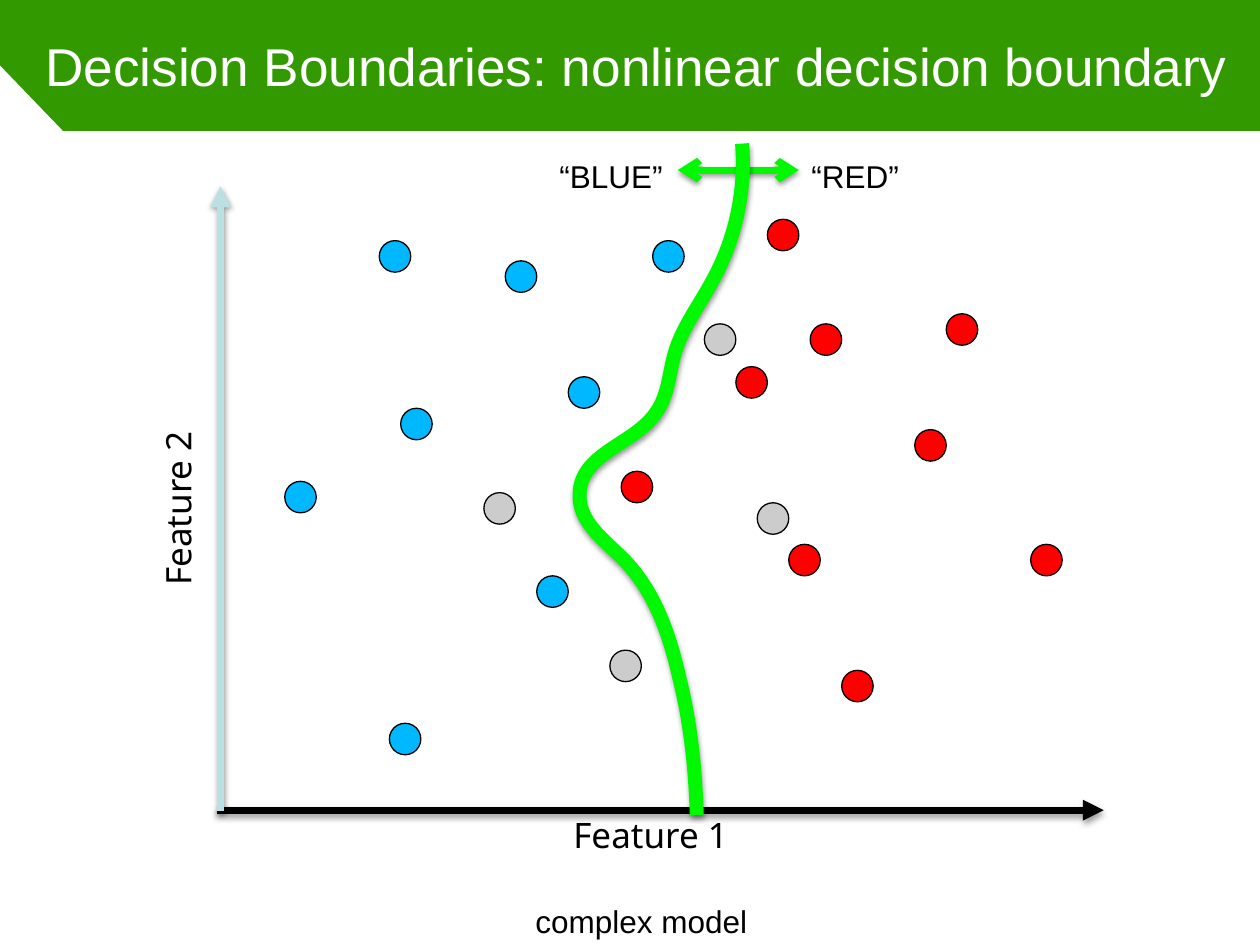
import pptx
import pptx.dml.color
import pptx.enum.dml
import pptx.enum.shapes
import pptx.enum.text
import pptx.oxml
import pptx.oxml.ns
import pptx.util
from pptx.util import Inches

BLUE, RED, GRAY = "00B8FF", "FF0000", "CCCCCC"
BLACK, WHITE, GREEN = "000000", "FFFFFF", "00F900"
DOT_SIZE = 0.25

# Left and top of each sample, by class.
SAMPLES = {
    BLUE: [(3.18, 3.24), (3.01, 1.91), (4.01, 2.07), (5.18, 1.91),
           (2.26, 3.82), (4.26, 4.57), (3.09, 5.74), (4.51, 2.99)],
    RED: [(6.43, 2.57), (5.84, 2.91), (6.26, 4.32), (6.68, 5.32), (6.09, 1.74),
          (7.26, 3.41), (4.93, 3.74), (8.18, 4.32), (7.51, 2.49)],
    GRAY: [(5.59, 2.57), (3.84, 3.91), (6.01, 3.99), (4.84, 5.16)],
}

# Start point, then two control points and an end point per Bezier segment.
BOUNDARY = [
    (5.89, 1.14),
    (5.92, 1.51), (5.84, 1.89), (5.66, 2.22),
    (5.56, 2.41), (5.42, 2.59), (5.36, 2.79),
    (5.31, 2.95), (5.31, 3.13), (5.21, 3.27),
    (5.04, 3.53), (4.61, 3.59), (4.60, 3.92),
    (4.59, 4.14), (4.79, 4.28), (4.94, 4.43),
    (5.19, 4.68), (5.31, 5.02), (5.39, 5.37),
    (5.48, 5.73), (5.52, 6.10), (5.53, 6.47),
]


def color(value):
    return pptx.dml.color.RGBColor.from_string(value)


def add_xml(parent, xml):
    namespace = pptx.oxml.ns.nsdecls("a")
    parent.append(pptx.oxml.parse_xml(xml.replace("/>", f" {namespace}/>", 1)
                                      if xml.endswith("/>") and xml.count("<") == 1
                                      else xml.replace(">", f" {namespace}>", 1)))


class Sketch:
    """Holds the shared style and the current slide."""

    font = "Arial"
    axis_font = "Noto Sans"
    inset = 0.05

    def __init__(self, page):
        self.page = page

    def text(self, words, left, top, width, height, size=18, fill=BLACK,
             font=None, inset=None, rotation=0, fit=True):
        box = self.page.shapes.add_textbox(
            Inches(left), Inches(top), Inches(width), Inches(height))
        box.rotation = rotation
        frame = box.text_frame
        margin = Inches(self.inset if inset is None else inset)
        frame.margin_left = frame.margin_right = margin
        frame.margin_top = frame.margin_bottom = margin
        frame.word_wrap = not fit
        if fit:
            frame.auto_size = pptx.enum.text.MSO_AUTO_SIZE.SHAPE_TO_FIT_TEXT
        else:
            frame.vertical_anchor = pptx.enum.text.MSO_ANCHOR.MIDDLE
        para = frame.paragraphs[0]
        para.text = words
        para.font.name = font or self.font
        para.font.size = pptx.util.Pt(size)
        para.font.color.rgb = color(fill)

    def axis_label(self, words, left, top, rotation=0):
        self.text(words, left, top, 1.28, 0.32, size=20, font=self.axis_font,
                  inset=0, rotation=rotation)

    def dot(self, group, left, top, fill):
        dot = group.shapes.add_shape(
            pptx.enum.shapes.MSO_SHAPE.OVAL, Inches(left), Inches(top),
            Inches(DOT_SIZE), Inches(DOT_SIZE))
        dot.shadow.inherit = False
        dot.fill.solid()
        dot.fill.fore_color.rgb = color(fill)
        dot.line.color.rgb = color(BLACK)
        dot.line.width = pptx.util.Pt(0.75)

    def outline(self, shape, stroke, width):
        shape.line.color.rgb = color(stroke)
        shape.line.width = pptx.util.Pt(width)

    def cast_shadow(self, shape):
        """Add the soft shadow; call it after the outline is set."""
        add_xml(shape._element.spPr,
                '<a:effectLst><a:outerShdw blurRad="38100" dist="20000" '
                'dir="5400000" rotWithShape="0"><a:srgbClr val="000000">'
                '<a:alpha val="38000"/></a:srgbClr></a:outerShdw></a:effectLst>')

    def arrow(self, parent, start, end, stroke, **ends):
        """Draw a line; ends maps headEnd and tailEnd to arrowhead types."""
        arrow = parent.shapes.add_connector(
            pptx.enum.shapes.MSO_CONNECTOR.STRAIGHT,
            *(Inches(value) for value in start + end))
        self.outline(arrow, stroke, 4)
        for side, kind in ends.items():
            add_xml(arrow.line._get_or_add_ln(), f'<a:{side} type="{kind}"/>')
        self.cast_shadow(arrow)

    def freeform(self, points, close):
        points = [(Inches(x), Inches(y)) for x, y in points]
        builder = self.page.shapes.build_freeform(*points[0])
        builder.add_line_segments(points[1:], close=close)
        shape = builder.convert_to_shape()
        shape.shadow.inherit = False
        return shape

    def area(self, points, fill):
        shape = self.freeform(points, close=True)
        shape.fill.solid()
        shape.fill.fore_color.rgb = color(fill)
        shape.line.fill.background()

    def curve(self, points, stroke, width):
        """Draw Bezier segments by merging each three line steps into one."""
        shape = self.freeform(points, close=False)
        shape.fill.background()
        self.outline(shape, stroke, width)
        properties = shape._element.spPr
        properties.remove(properties.find(pptx.oxml.ns.qn("a:effectLst")))
        self.cast_shadow(shape)
        steps = list(properties.iter(pptx.oxml.ns.qn("a:lnTo")))
        outline = steps[0].getparent()
        for first in range(0, len(steps), 3):
            add_xml(outline, "<a:cubicBezTo></a:cubicBezTo>")
            segment = outline[-1]
            for step in steps[first:first + 3]:
                segment.append(step[0])
                outline.remove(step)


def main():
    deck = pptx.Presentation()
    deck.slide_width, deck.slide_height = Inches(10), Inches(7.5)
    page = deck.slides.add_slide(deck.slide_layouts[6])
    page.background.fill.solid()
    page.background.fill.fore_color.rgb = color("339900")
    sketch = Sketch(page)

    sketch.area([(0.5, 1.04), (0, 0.52), (0, 7.5), (10, 7.5), (10, 1.04)], WHITE)
    sketch.text("Decision Boundaries: nonlinear decision boundary",
                0.31, 0, 9.57, 1.04, size=30.4, fill=WHITE, fit=False)

    samples = page.shapes.add_group_shape()
    for fill, places in SAMPLES.items():
        for left, top in places:
            sketch.dot(samples, left, top, fill)

    axes = page.shapes.add_group_shape()
    sketch.arrow(axes, (1.72, 6.43), (8.76, 6.43), BLACK, tailEnd="triangle")
    sketch.arrow(axes, (1.75, 6.44), (1.75, 1.48), "BBE0E3", tailEnd="triangle")
    sketch.axis_label("Feature 1", 4.55, 6.46)
    sketch.axis_label("Feature 2", 0.76, 3.85, rotation=270)

    sketch.text("“RED”", 6.39, 1.2, 0.81, 0.38)
    sketch.text("“BLUE”", 4.39, 1.2, 0.93, 0.38)
    sketch.arrow(page, (5.38, 1.35), (6.34, 1.35), GREEN,
                 headEnd="arrow", tailEnd="arrow")
    sketch.curve(BOUNDARY, GREEN, 8)
    sketch.text("complex model", 4.2, 7.11, 1.8, 0.38)

    deck.save("out.pptx")


if __name__ == "__main__":
    main()
